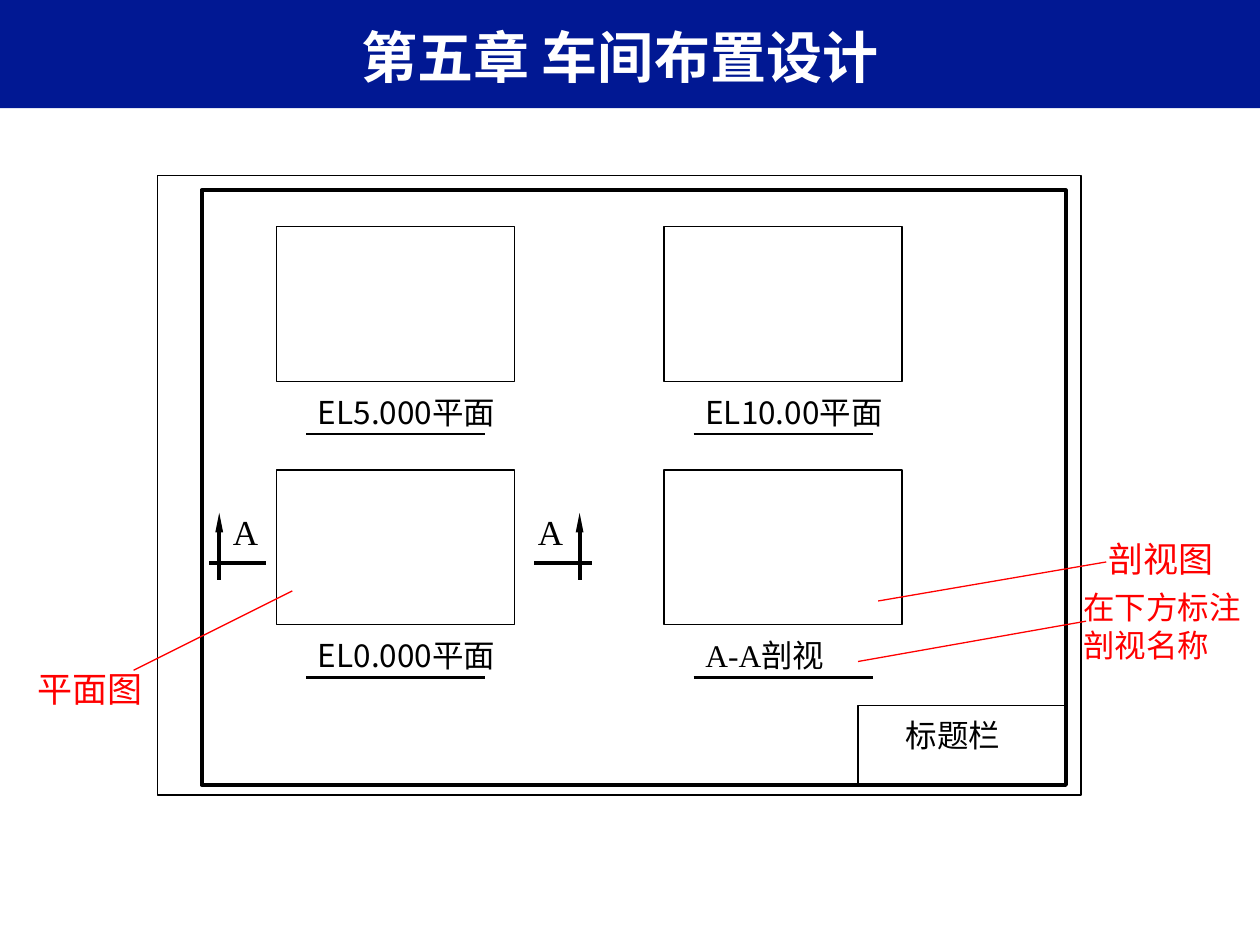
import lxml.etree
import pptx
import pptx.dml.color
import pptx.enum.shapes
import pptx.enum.text
import pptx.oxml.ns
import pptx.util

COLUMNS, ROWS = 100, 75
ALIGN = pptx.enum.text.PP_ALIGN
SHAPES = pptx.enum.shapes.MSO_SHAPE
CONNECTORS = pptx.enum.shapes.MSO_CONNECTOR
SANS, SERIF = "Noto Sans CJK SC", "Times New Roman"
NAVY, BLACK, RED, WHITE = "011893", "000000", "FF0000", "FFFFFF"
THIN, MEDIUM, THICK = 0.75, 1.5, 2.25


def color(hex_text):
    return pptx.dml.color.RGBColor.from_string(hex_text)


def add_child(parent, tag, **attributes):
    return lxml.etree.SubElement(parent, pptx.oxml.ns.qn(tag), **attributes)


def add_text(para, text, size=18, font=SANS, ink=BLACK, bold=False):
    """Append a span; the font applies to Latin letters, Chinese is always sans."""
    span = para.add_run()
    span.text = text
    span.font.size = pptx.util.Pt(size)
    span.font.bold = bold
    span.font.color.rgb = color(ink)
    span.font.name = font
    add_child(span.font._element, "a:ea", typeface=SANS)


class Drawing:
    """Places elements on a page measured in grid columns and rows."""

    def __init__(self, deck):
        self.column = deck.slide_width / COLUMNS
        self.row = deck.slide_height / ROWS
        self.page = deck.slides.add_slide(deck.slide_layouts[6])

    def place(self, *lengths):
        """Turn alternating columns and rows into slide units."""
        units = (self.column, self.row)
        return [round(length * units[i % 2]) for i, length in enumerate(lengths)]

    def rectangle(self, *area, fill=None, line=None):
        shape = self.page.shapes.add_shape(SHAPES.RECTANGLE, *self.place(*area))
        shape.shadow.inherit = False
        if fill:
            shape.fill.solid()
            shape.fill.fore_color.rgb = color(fill)
        else:
            shape.fill.background()
        if line:
            shape.line.color.rgb = color(BLACK)
            shape.line.width = pptx.util.Pt(line)
        else:
            shape.line.fill.background()

    def line(self, *ends, width=THIN, ink=BLACK, arrow=False):
        line = self.page.shapes.add_connector(CONNECTORS.STRAIGHT, *self.place(*ends))
        line.line.color.rgb = color(ink)
        line.line.width = pptx.util.Pt(width)
        if arrow:
            outline = line.line._get_or_add_ln()
            add_child(outline, "a:tailEnd", type="triangle", w="sm", len="lg")
        add_child(line._element.spPr, "a:effectLst")

    def label(self, *area, spans, align=ALIGN.LEFT, wrap=True, **style):
        """Write (text, font) spans as one paragraph."""
        box = self.page.shapes.add_textbox(*self.place(*area))
        box.text_frame.word_wrap = wrap
        para = box.text_frame.paragraphs[0]
        para.alignment = align
        for text, font in spans:
            add_text(para, text, font=font, **style)

    def view(self, left, top, spans):
        """Draw one view frame with its underlined name."""
        self.rectangle(left, top, 18.9, 12.3, line=THIN)
        self.line(left + 2.35, top + 16.45, left + 16.55, top + 16.45, width=MEDIUM)
        self.label(left + 2.3, top + 12.7, 16.9, 6.2, spans=spans, align=ALIGN.JUSTIFY)

    def section_mark(self, bar_left, arrow_at, label_left):
        self.line(bar_left, 44.7, bar_left + 4.55, 44.7, width=THICK)
        self.line(arrow_at, 46, arrow_at, 40.7, width=THICK, arrow=True)
        self.label(label_left, 40, 4.4, 4.3, spans=[("A", SERIF)], size=20)


def main():
    deck = pptx.Presentation()
    deck.slide_width = pptx.util.Inches(10)
    deck.slide_height = pptx.util.Inches(7.5)
    drawing = Drawing(deck)

    drawing.rectangle(0, 0, COLUMNS, 8.6, fill=NAVY)
    drawing.rectangle(12.5, 13.9, 73.3, 49.2, line=THIN)
    drawing.rectangle(16, 15.1, 68.6, 47.2, line=THICK)

    views = [
        [("EL5.000平面", SANS)], [("EL10.00平面", SANS)],
        [("EL0.000平面", SANS)], [("A-A", SERIF), ("剖视", SANS)],
    ]
    for index, spans in enumerate(views):
        row, column = divmod(index, 2)
        drawing.view(21.95 + column * 30.75, 18 + row * 19.3, spans)

    drawing.rectangle(68.1, 56, 16.6, 6.2, line=THIN)
    drawing.label(70.9, 56.3, 14.2, 8.2, spans=[("标题栏", SERIF)], align=ALIGN.JUSTIFY)

    drawing.section_mark(16.6, 17.4, 17.5)
    drawing.section_mark(42.4, 46, 41.7)

    drawing.label(85, 46.2, 15, 7, spans=[("在下方标注剖视名称", SANS)], ink=RED)
    for left, top, text in [(2, 52.5, "平面图"), (87, 42.2, "剖视图")]:
        drawing.label(left, top, 12, 4.3, spans=[(text, SERIF)], size=20, ink=RED)
    for ends in [(69.7, 47.7, 87.8, 44.6), (10.6, 53.2, 23.2, 46.9), (68.1, 52.5, 86.2, 49.3)]:
        drawing.line(*ends, ink=RED)

    drawing.label(3.9, 1.3, 90.6, 6.4, spans=[("第五章 车间布置设计", SANS)],
                  align=ALIGN.CENTER, size=32, ink=WHITE, bold=True)
    deck.save("out.pptx")


if __name__ == "__main__":
    main()
